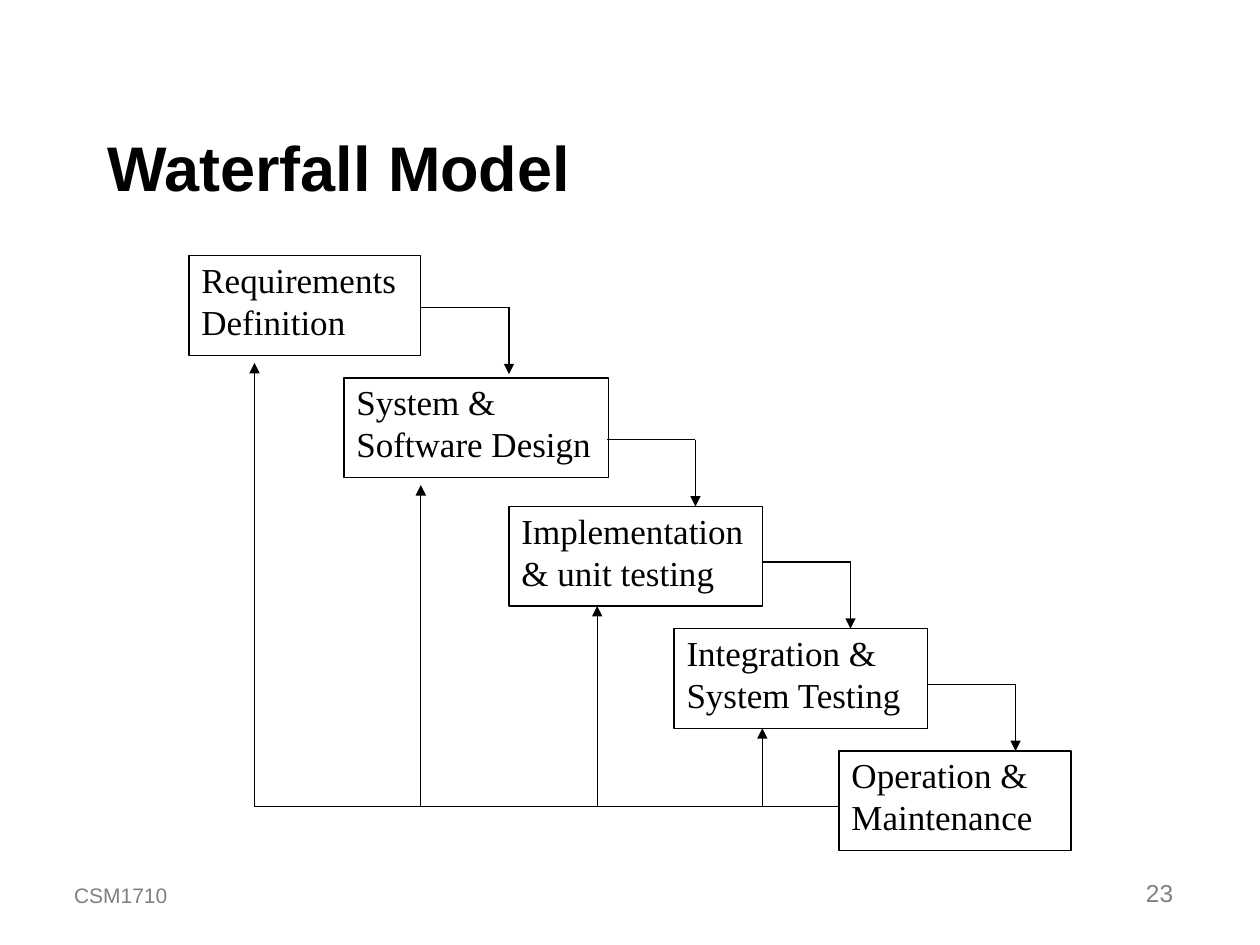
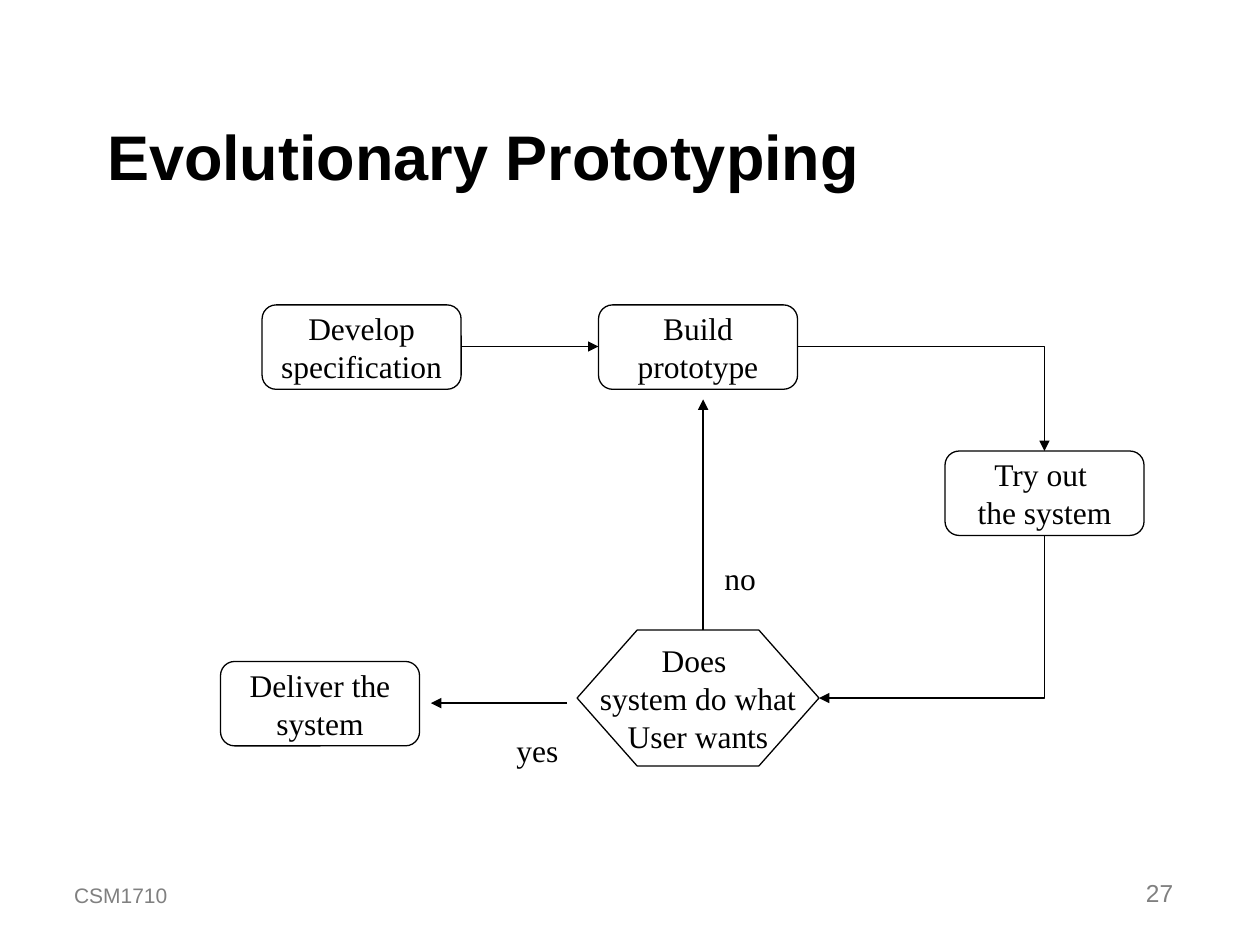
from lxml import etree
from pptx import Presentation
from pptx.dml.color import RGBColor
from pptx.enum.shapes import MSO_CONNECTOR, MSO_SHAPE
from pptx.enum.text import MSO_ANCHOR, MSO_AUTO_SIZE, PP_ALIGN
from pptx.oxml.ns import qn
from pptx.util import Inches, Pt

LEFT, CENTER, RIGHT = PP_ALIGN.LEFT, PP_ALIGN.CENTER, PP_ALIGN.RIGHT
TOP, MIDDLE, BOTTOM = MSO_ANCHOR.TOP, MSO_ANCHOR.MIDDLE, MSO_ANCHOR.BOTTOM
RECTANGLE, ROUNDED, HEXAGON = MSO_SHAPE.RECTANGLE, MSO_SHAPE.ROUNDED_RECTANGLE, MSO_SHAPE.HEXAGON
STRAIGHT, ELBOW = MSO_CONNECTOR.STRAIGHT, MSO_CONNECTOR.ELBOW
NO_FIT = MSO_AUTO_SIZE.NONE
TITLE_ONLY = 5

INK, PAPER, MUTED = "000000", "FFFFFF", "808080"
SANS, SERIF = "Arial", "Times New Roman"


def color(code):
    return RGBColor.from_string(code)


def apply(target, values):
    for name, value in values.items():
        setattr(target, name, value)


class Deck:
    line_width = Pt(0.75)

    def __init__(self):
        self.file = Presentation()
        apply(self.file, {"slide_width": Inches(10), "slide_height": Inches(7.5)})
        self.page = None

    def add_page(self, title, number, title_top):
        self.page = self.file.slides.add_slide(self.file.slide_layouts[TITLE_ONLY])
        heading = self.page.shapes.title
        places = ("left", "top", "width", "height")
        apply(heading, dict(zip(places, map(Inches, (0.75, title_top, 8.5, 1)))))
        self.set_text(heading, [title], 36, font=SANS, bold=True, anchor=BOTTOM)
        self.label("CSM1710", (0.49, 6.75, 3, 0.5), 12, font=SANS, ink=MUTED,
                   anchor=BOTTOM, before=7.5)
        self.label(str(number), (7.33, 6.75, 2.08, 0.5), 14, font=SANS, ink=MUTED,
                   anchor=BOTTOM, align=RIGHT, before=8.8)

    def set_text(self, box, lines, size, font=SERIF, ink=INK, bold=False, align=LEFT,
                 anchor=TOP, wrap=True, before=0, top_inset=0.05, right_inset=0.1):
        frame = box.text_frame
        frame.text = "\n".join(lines)
        apply(frame, {"auto_size": NO_FIT, "word_wrap": wrap, "vertical_anchor": anchor,
                      "margin_left": Inches(0.1), "margin_right": Inches(right_inset),
                      "margin_top": Inches(top_inset), "margin_bottom": Inches(0.05)})
        for para in frame.paragraphs:
            apply(para, {"alignment": align, "space_before": Pt(before)})
            for span in para.runs:
                apply(span.font, {"name": font, "size": Pt(size), "bold": bold})
                span.font.color.rgb = color(ink)

    def label(self, text, place, size, **style):
        box = self.page.shapes.add_textbox(*map(Inches, place))
        self.set_text(box, [text], size, **style)

    def shape(self, kind, place, lines, size, corner=None, **style):
        box = self.page.shapes.add_shape(kind, *map(Inches, place))
        box.shadow.inherit = False
        box.fill.solid()
        box.fill.fore_color.rgb = color(PAPER)
        box.line.color.rgb = color(INK)
        box.line.width = self.line_width
        if corner is not None:
            box.adjustments[0] = corner
        self.set_text(box, lines, size, **style)

    def line(self, start, end, arrow=None, kind=STRAIGHT):
        link = self.page.shapes.add_connector(kind, *map(Inches, (*start, *end)))
        link.line.color.rgb = color(INK)
        link.line.width = self.line_width
        properties = link._element.spPr
        if kind == ELBOW:
            properties.find(qn("a:prstGeom")).set("prst", "bentConnector2")
        if arrow:
            etree.SubElement(properties.find(qn("a:ln")), qn(f"a:{arrow}End"), type="triangle")
        etree.SubElement(properties, qn("a:effectLst"))


def waterfall(deck):
    deck.add_page("Waterfall Model", 23, 0.67)
    stages = [
        (1.5, 2.03, 1.84, ["Requirements", "Definition"]),
        (2.73, 3, 2.1, ["System &", "Software Design"]),
        (4.04, 4.02, 2.01, ["Implementation", "& unit testing"]),
        (5.35, 4.99, 2.01, ["Integration &", "System Testing"]),
        (6.66, 5.96, 1.84, ["Operation &", "Maintenance"]),
    ]
    for left, top, width, lines in stages:
        deck.shape(RECTANGLE, (left, top, width, 0.79), lines, 20,
                   top_inset=0.02, right_inset=0)

    step_width, step_height = 0.7, 0.53
    for x, y in [(3.34, 2.44), (4.82, 3.49), (6.05, 4.46), (7.36, 5.43)]:
        corner = (x + step_width, y)
        deck.line((x, y), corner)
        deck.line(corner, (x + step_width, y + step_height), "tail")

    feedback_y = 6.4
    deck.line((6.66, feedback_y), (2.02, feedback_y))
    for x, tip in [(2.02, 2.88), (3.34, 3.85), (4.74, 4.81), (6.05, 5.78)]:
        deck.line((x, feedback_y), (x, tip), "tail")


def prototyping(deck):
    deck.add_page("Evolutionary Prototyping", 27, 0.58)
    centered = {"align": CENTER, "anchor": MIDDLE, "wrap": False}
    steps = [
        (2.08, 2.42, ["Develop", "specification"]),
        (4.75, 2.42, ["Build", "prototype"]),
        (7.5, 3.58, ["Try out ", "the system"]),
        (1.75, 5.25, ["Deliver the", "system"]),
    ]
    for left, top, lines in steps:
        deck.shape(ROUNDED, (left, top, 1.58, 0.67), lines, 18, corner=0.167, **centered)
    deck.shape(HEXAGON, (4.58, 5, 1.92, 1.08), ["Does ", "system do what", "User wants"], 18,
               corner=0.442, **centered)

    deck.line((3.67, 2.75), (4.75, 2.75), "tail")
    deck.line((6.33, 2.75), (8.29, 3.58), "tail", ELBOW)
    deck.line((6.5, 5.54), (8.29, 4.25), "head", ELBOW)
    deck.line((5.58, 5), (5.58, 3.17), "tail")
    deck.line((4.5, 5.58), (3.42, 5.58), "tail")
    deck.label("no", (5.65, 4.39, 0.45, 0.4), 18, wrap=False)
    deck.label("yes", (4, 5.75, 0.53, 0.4), 18, wrap=False)


def main():
    deck = Deck()
    waterfall(deck)
    prototyping(deck)
    deck.file.save("out.pptx")


if __name__ == "__main__":
    main()
